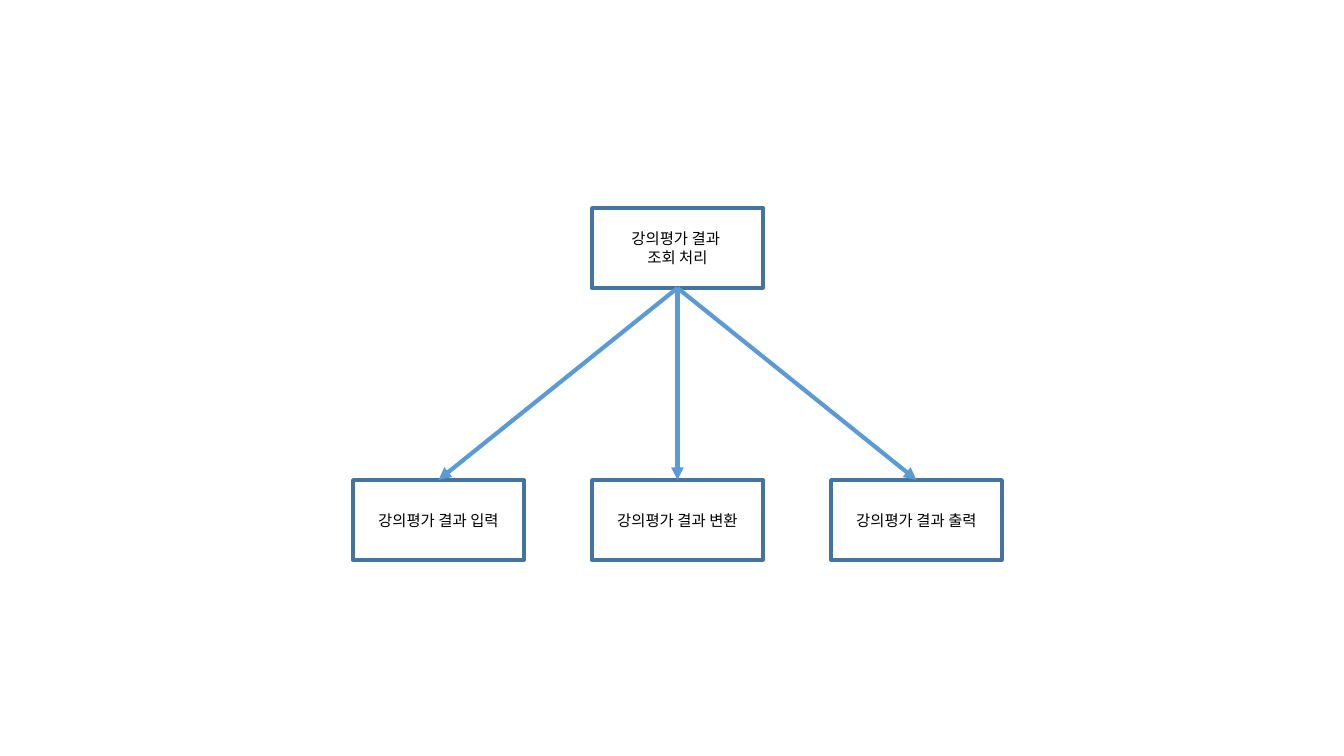
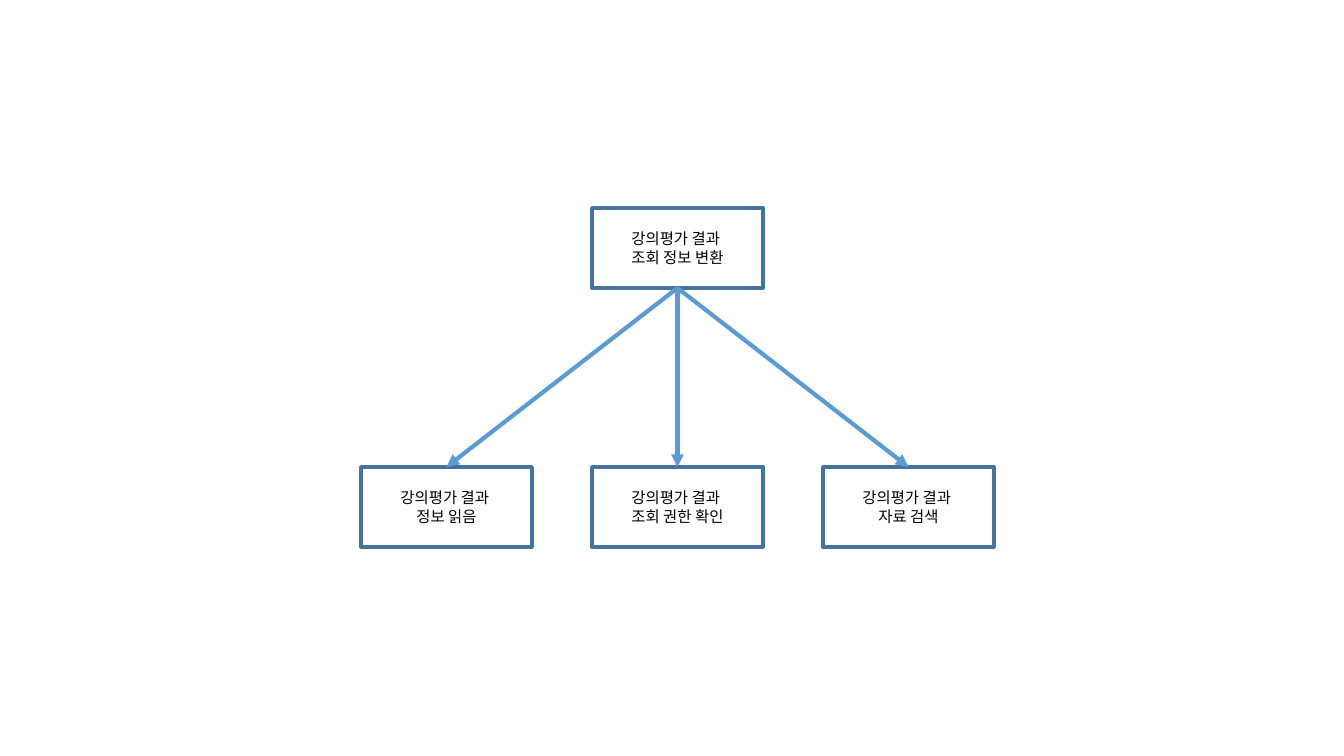
import pptx
import pptx.util
import pptx.dml.color
import pptx.enum.shapes
import pptx.enum.text
import pptx.oxml.ns
import lxml.etree

DIAGRAMS = [
    {
        "parent": ["강의평가 결과 ", "조회 처리"],
        "children": [["강의평가 결과 입력"], ["강의평가 결과 변환"], ["강의평가 결과 출력"]],
        "child_top": 480,
        "pitch": 239,
    },
    {
        "parent": ["강의평가 결과 ", "조회 정보 변환"],
        "children": [
            ["강의평가 결과 ", "정보 읽음"],
            ["강의평가 결과 ", "조회 권한 확인"],
            ["강의평가 결과 ", "자료 검색"],
        ],
        "child_top": 467,
        "pitch": 231,
    },
]

BORDER = pptx.dml.color.RGBColor(0x43, 0x73, 0x9E)
ARROW = pptx.dml.color.RGBColor(0x5B, 0x9B, 0xD5)
BLACK = pptx.dml.color.RGBColor(0, 0, 0)
FONT = "Noto Sans CJK KR"
TEXT_FORMAT = {"name": FONT, "size": pptx.util.Pt(11)}
FRAME_FORMAT = {"word_wrap": True, "vertical_anchor": pptx.enum.text.MSO_ANCHOR.MIDDLE}

SLIDE_WIDTH, SLIDE_HEIGHT = 1344, 756
BOX_WIDTH, BOX_HEIGHT = 171, 80
PARENT_LEFT, PARENT_TOP = 592, 208
BOTTOM_SITE, TOP_SITE = 2, 0


def px(pixels):
    return pptx.util.Emu(round(pixels * 914400 / 100.8))


def apply_format(target, values):
    for name, value in values.items():
        setattr(target, name, value)


def add_child_element(parent, tag, **attributes):
    return lxml.etree.SubElement(parent, pptx.oxml.ns.qn(tag), **attributes)


def format_line(line, color, width):
    line.color.rgb = color
    line.width = pptx.util.Pt(width)


def add_box(slide, left, top, lines):
    shape = slide.shapes.add_shape(
        pptx.enum.shapes.MSO_SHAPE.RECTANGLE,
        px(left), px(top), px(BOX_WIDTH), px(BOX_HEIGHT),
    )
    shape.shadow.inherit = False
    shape.fill.background()
    format_line(shape.line, BORDER, 2.5)
    frame = shape.text_frame
    apply_format(frame, FRAME_FORMAT)
    frame.text = "\n".join(lines)
    for paragraph in frame.paragraphs:
        paragraph.alignment = pptx.enum.text.PP_ALIGN.CENTER
        for run in paragraph.runs:
            run.font.color.rgb = BLACK
            apply_format(run.font, TEXT_FORMAT)
            add_child_element(run.font._element, "a:ea", typeface=FONT)
    return shape


def add_arrow(slide, parent, child):
    connector = slide.shapes.add_connector(
        pptx.enum.shapes.MSO_CONNECTOR.STRAIGHT, 0, 0, 0, 0
    )
    connector.begin_connect(parent, BOTTOM_SITE)
    connector.end_connect(child, TOP_SITE)
    format_line(connector.line, ARROW, 3)
    add_child_element(connector.line._get_or_add_ln(), "a:tailEnd", type="triangle")
    add_child_element(connector._element.spPr, "a:effectLst")


def add_diagram(slide, diagram):
    parent = add_box(slide, PARENT_LEFT, PARENT_TOP, diagram["parent"])
    middle = (len(diagram["children"]) - 1) / 2
    for index, lines in enumerate(diagram["children"]):
        left = PARENT_LEFT + (index - middle) * diagram["pitch"]
        child = add_box(slide, left, diagram["child_top"], lines)
        add_arrow(slide, parent, child)


presentation = pptx.Presentation()
presentation.slide_width = px(SLIDE_WIDTH)
presentation.slide_height = px(SLIDE_HEIGHT)
blank_layout = presentation.slide_layouts[6]
for diagram in DIAGRAMS:
    add_diagram(presentation.slides.add_slide(blank_layout), diagram)
presentation.save("out.pptx")
